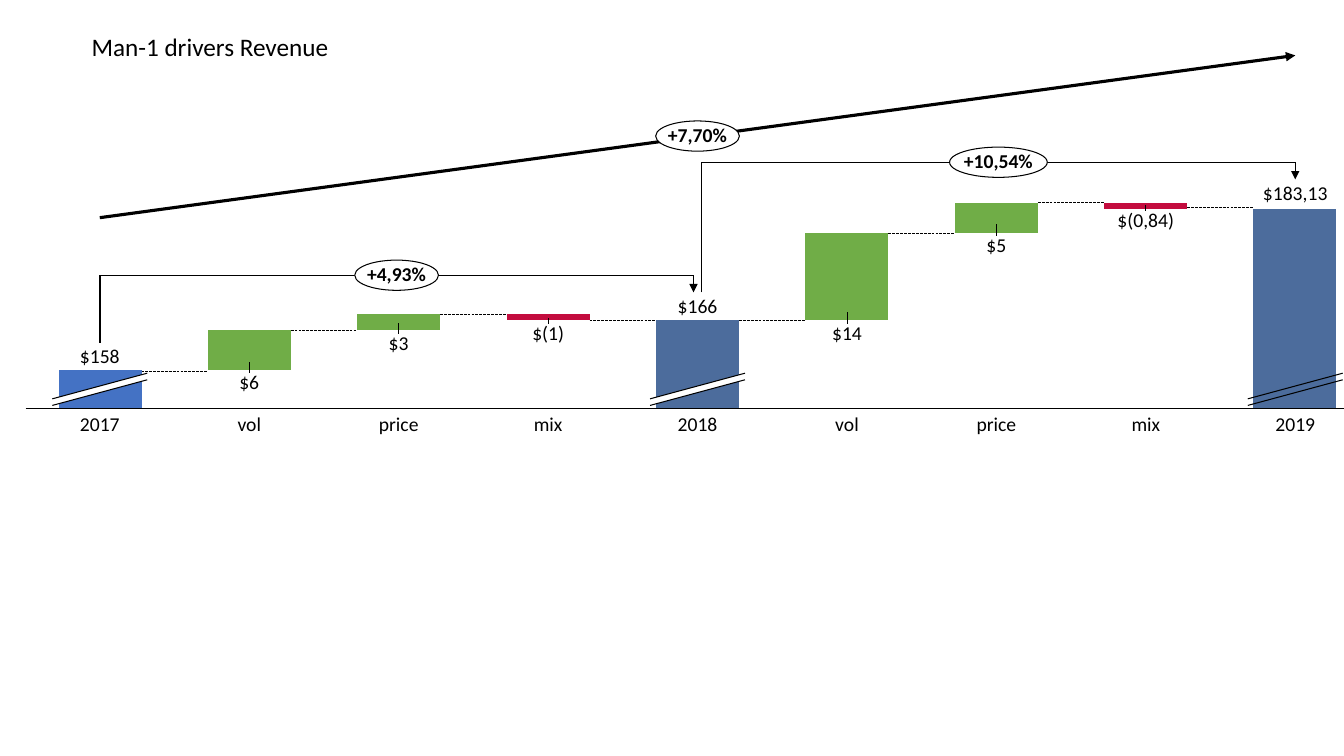
from lxml import etree
from pptx import Presentation
from pptx.chart.data import CategoryChartData
from pptx.dml.color import RGBColor
from pptx.enum.chart import XL_CHART_TYPE, XL_TICK_LABEL_POSITION, XL_TICK_MARK
from pptx.enum.dml import MSO_LINE
from pptx.enum.shapes import MSO_CONNECTOR, MSO_SHAPE
from pptx.enum.text import MSO_ANCHOR, MSO_AUTO_SIZE, PP_ALIGN
from pptx.oxml import parse_xml
from pptx.oxml.ns import nsdecls, qn
from pptx.util import Pt

STACKED = XL_CHART_TYPE.COLUMN_STACKED
STRAIGHT = MSO_CONNECTOR.STRAIGHT
LONG_DASH = MSO_LINE.LONG_DASH
ELLIPSE = MSO_SHAPE.OVAL
TOP, MIDDLE, BOTTOM = MSO_ANCHOR.TOP, MSO_ANCHOR.MIDDLE, MSO_ANCHOR.BOTTOM
CENTER = PP_ALIGN.CENTER
NO_TICK, NO_LABELS = XL_TICK_MARK.NONE, XL_TICK_LABEL_POSITION.NONE
FIT_SHAPE = MSO_AUTO_SIZE.SHAPE_TO_FIT_TEXT

COLORS = {"black": "000000", "white": "FFFFFF", "blue": "4472C4",
          "slate": "4C6C9C", "green": "70AD47", "red": "C30C3E"}
FIRST_CENTER, STEP, HALF_BAR = 71.3, 106.74, 29.6
LABEL_HEIGHT = 15.1
CATEGORY_TOP = 295.9

COLUMNS = [
    ("2017", "$158", 247.7, BOTTOM, None),
    ("vol", "$6", 266.4, TOP, 258.5),
    ("price", "$3", 238.3, TOP, 230.4),
    ("mix", "$(1)", 231.1, TOP, 226.8),
    ("2018", "$166", 211.7, BOTTOM, None),
    ("vol", "$14", 231.1, TOP, 223.2),
    ("price", "$5", 168.5, TOP, 159.8),
    ("mix", "$(0,84)", 150.5, TOP, 146.2),
    ("2019", "$183,13", 131, BOTTOM, None),
]
LEVELS = [265, 236.2, 224.6, 229, 229, 166.3, 144.7, 148.3]
SERIES = [
    ("Series 1", [19, 19, 39, 44, 44, 44, 88, 100, 100], None,
     {0: "blue", 4: "slate", 8: "slate"}),
    ("Series 2", [None, 20, 8, 3, None, 44, 15, 3, None], "green",
     {3: "red", 7: "red"}),
]


class WaterfallSlide:
    """Holds the text style and the slide, and draws each kind of element."""

    def __init__(self, presentation):
        self.slide = presentation.slides.add_slide(presentation.slide_layouts[6])
        self.font_name = "Calibri"
        self.label_size = 14

    def color(self, name):
        return RGBColor.from_string(COLORS[name])

    def fill(self, target, name):
        if name is None:
            target.fill.background()
        else:
            target.fill.solid()
            target.fill.fore_color.rgb = self.color(name)

    def stroke(self, line, width):
        line.color.rgb = self.color("black")
        line.width = Pt(width)

    def line(self, start, end, width, dash=None, arrow=False):
        connector = self.slide.shapes.add_connector(
            STRAIGHT, *(Pt(value) for value in (*start, *end)))
        self.stroke(connector.line, width)
        if dash:
            connector.line.dash_style = dash
        properties = connector._element.spPr
        if arrow:
            tail = etree.SubElement(properties.find(qn("a:ln")), qn("a:tailEnd"))
            tail.set("type", "triangle")
        etree.SubElement(properties, qn("a:effectLst"))

    def outline(self, points, fill=None, width=None):
        start, *rest = [(Pt(x), Pt(y)) for x, y in points]
        builder = self.slide.shapes.build_freeform(*start, scale=1.0)
        builder.add_line_segments(rest, close=fill is not None)
        shape = builder.convert_to_shape()
        shape.shadow.inherit = False
        self.fill(shape, fill)
        if width:
            self.stroke(shape.line, width)
        else:
            shape.line.fill.background()

    def run(self, paragraph, text, size, bold=False):
        run = paragraph.add_run()
        run.text = text
        run.font.name = self.font_name
        run.font.size = Pt(size)
        run.font.bold = bold
        run.font.color.rgb = self.color("black")

    def centered_text(self, shape, text, anchor, bold=False):
        frame = shape.text_frame
        frame.word_wrap = False
        frame.vertical_anchor = anchor
        frame.margin_left = frame.margin_right = 0
        frame.margin_top = frame.margin_bottom = 0
        paragraph = frame.paragraphs[0]
        paragraph.alignment = CENTER
        paragraph.line_spacing = 0.9
        self.run(paragraph, text, self.label_size, bold)

    def label(self, center, top, text, anchor=TOP):
        width = 8 * len(text)
        box = self.slide.shapes.add_textbox(
            Pt(center - width / 2), Pt(top), Pt(width), Pt(LABEL_HEIGHT))
        self.centered_text(box, text, anchor)

    def title(self, text):
        box = self.slide.shapes.add_textbox(Pt(58.3), Pt(18.7), Pt(486), Pt(29))
        box.text_frame.word_wrap = True
        box.text_frame.auto_size = FIT_SHAPE
        self.run(box.text_frame.paragraphs[0], text, 18)

    def growth(self, x, y, width, text):
        shape = self.slide.shapes.add_shape(
            ELLIPSE, Pt(x - width / 2), Pt(y - 10.8), Pt(width), Pt(21.6))
        shape.shadow.inherit = False
        self.fill(shape, "white")
        self.stroke(shape.line, 0.75)
        self.centered_text(shape, text, MIDDLE, bold=True)

    def bracket(self, left, right, top, foot, width, text):
        self.line((left, foot), (left, top), 1)
        self.line((left, top), (right, top), 1)
        self.line((right, top), (right, top + 12.2), 1, arrow=True)
        self.growth((left + right) / 2, top, width, text)

    def axis_break(self, center, filled):
        left, right = center - 33.9, center + 33.9
        upper = [(left, 284.9), (right, 266.6)]
        lower = [(left, 289.6), (right, 271.3)]
        if filled:
            self.outline(upper + lower[::-1], fill="white")
        for edge in (upper, lower):
            self.outline(edge, width=0.75)

    def chart(self):
        data = CategoryChartData()
        data.categories = [str(number + 1) for number in range(len(COLUMNS))]
        for name, values, _, _ in SERIES:
            data.add_series(name, values)
        chart = self.slide.shapes.add_chart(
            STACKED, Pt(11.5), Pt(138.2), Pt(972.7), Pt(159.8), data).chart
        chart.has_legend = False
        chart.has_title = False
        chart.font.name = self.font_name
        chart.font.size = Pt(10)
        chart.font.color.rgb = self.color("black")
        category_axis, value_axis = chart.category_axis, chart.value_axis
        category_axis.tick_label_position = NO_LABELS
        category_axis.major_tick_mark = NO_TICK
        category_axis.minor_tick_mark = NO_TICK
        self.stroke(category_axis.format.line, 0.75)
        value_axis.visible = False
        value_axis.has_major_gridlines = False
        value_axis.minimum_scale, value_axis.maximum_scale = 0, 103
        plot = chart.plots[0]
        plot.gap_width, plot.overlap = 80, 100
        plot.vary_by_categories = False
        for series, (_, _, base, points) in zip(plot.series, SERIES):
            series.invert_if_negative = False
            self.fill(series.format, base)
            for index, name in points.items():
                self.fill(series.points[index].format, name)
        area = chart._chartSpace.chart.plotArea
        for layout in area.findall(qn("c:layout")):
            area.remove(layout)
        area.insert(0, parse_xml(
            f'<c:layout {nsdecls("c")}><c:manualLayout><c:layoutTarget val="inner"/>'
            '<c:xMode val="edge"/><c:yMode val="edge"/><c:x val="0.007"/><c:y val="0.041"/>'
            '<c:w val="0.987"/><c:h val="0.919"/></c:manualLayout></c:layout>'))


def main():
    presentation = Presentation()
    presentation.slide_width, presentation.slide_height = Pt(960), Pt(540)
    waterfall = WaterfallSlide(presentation)
    centers = [FIRST_CENTER + STEP * index for index in range(len(COLUMNS))]
    for center, following, level in zip(centers, centers[1:], LEVELS):
        waterfall.line((center + HALF_BAR, level), (following - HALF_BAR, level),
                       0.25, dash=LONG_DASH)
    waterfall.chart()
    for index in (0, 4, 8):
        waterfall.axis_break(centers[index], filled=index != 8)
    for center, (category, value, top, anchor, tick_top) in zip(centers, COLUMNS):
        if tick_top:
            waterfall.line((center, top), (center, tick_top), 0.5)
        waterfall.label(center, top, value, anchor)
        waterfall.label(center, CATEGORY_TOP, category)
    first, middle, last = centers[::4]
    waterfall.bracket(first, middle - 2.9, 196.6, 244.8, 59.8, "+4,93%")
    waterfall.bracket(middle + 2.9, last, 115.9, 208.8, 69.8, "+10,54%")
    waterfall.line((first, 155.5), (last, 39.6), 2.25, arrow=True)
    waterfall.growth(middle, 97.2, 59.8, "+7,70%")
    waterfall.title("Man-1 drivers Revenue")
    presentation.save("out.pptx")


if __name__ == "__main__":
    main()
